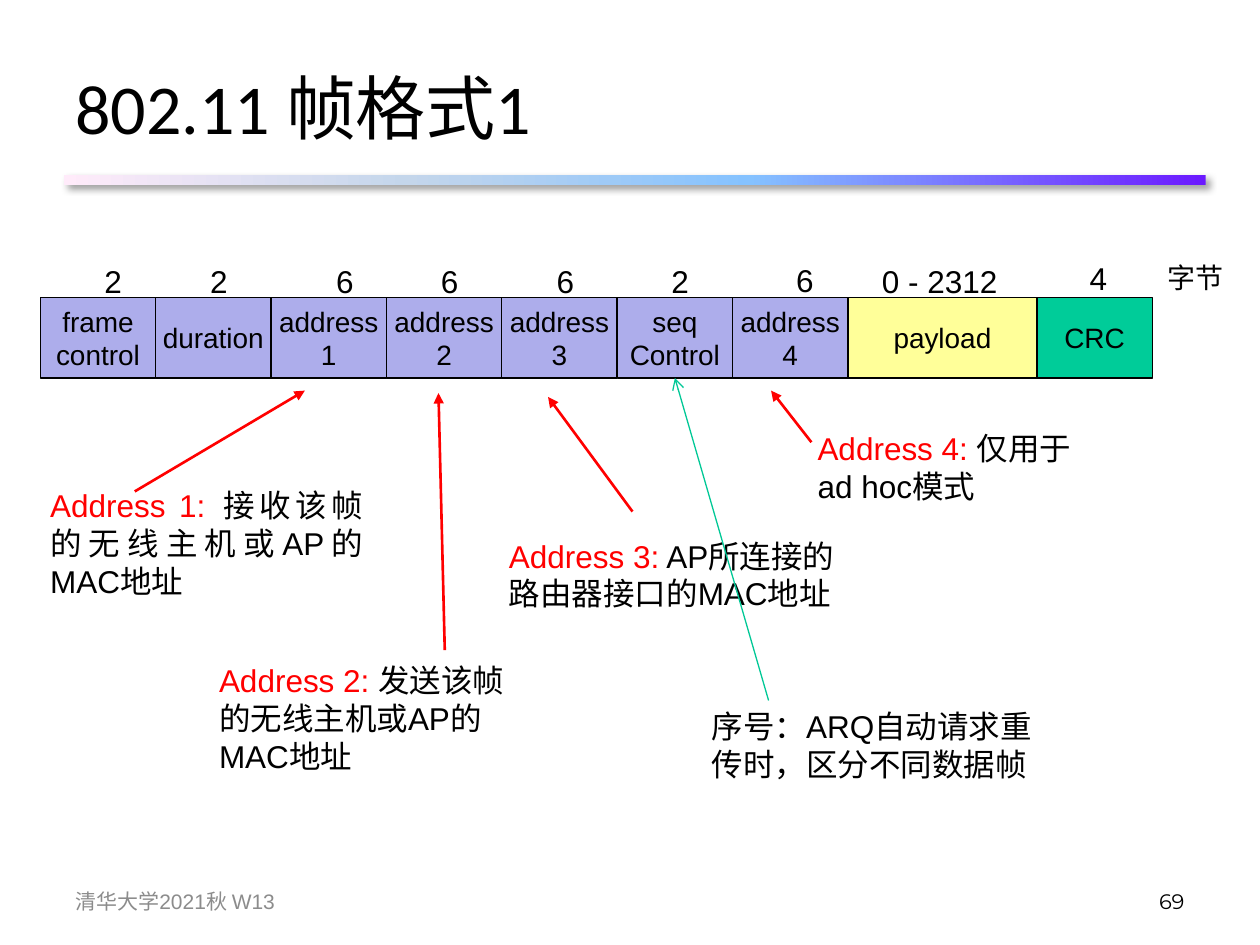
from dataclasses import dataclass

from lxml.etree import SubElement
from pptx import Presentation
from pptx.dml.color import RGBColor
from pptx.enum.shapes import MSO_CONNECTOR, MSO_SHAPE
from pptx.enum.text import MSO_ANCHOR, MSO_AUTO_SIZE, PP_ALIGN
from pptx.oxml import parse_xml
from pptx.oxml.ns import nsdecls, qn
from pptx.util import Inches, Pt


@dataclass(frozen=True)
class Theme:
    ink: str = "000000"
    header: str = "ADADEB"
    payload: str = "FFFF99"
    crc: str = "00CC99"
    accent: str = "FF0000"
    sequence: str = "00C896"
    footer: str = "8C8C8C"
    rule: tuple = ((0, "6B19FF"), (40, "85C2FF"), (70, "C4D6EB"), (100, "FFEBFA"))
    body_font: str = "Arial"
    title_font: str = "Calibri"
    number_font: str = "Montserrat"
    title_size: int = 40
    note_size: int = 18
    field_size: int = 16
    footer_size: int = 12


THEME = Theme()

# Frame layout: seven equal header fields, the payload, then the CRC
FRAME_LEFT, FRAME_TOP, FRAME_HEIGHT = 0.32, 2.36, 0.64
PAYLOAD_LEFT, PAYLOAD_WIDTH = 6.73, 1.5
FIELD_WIDTH = (PAYLOAD_LEFT - FRAME_LEFT) / 7
HEADER_FIELDS = ["frame\ncontrol", "duration", "address\n1", "address\n2",
                 "address\n3", "seq\nControl", "address\n4"]

# Byte counts: text, left, top, width
BYTE_COUNTS = [
    ("2", 0.73, 2.03, 0.34), ("2", 1.57, 2.03, 0.34), ("6", 2.57, 2.03, 0.34),
    ("6", 3.4, 2.03, 0.34), ("6", 4.32, 2.03, 0.34), ("2", 5.23, 2.03, 0.34),
    ("6", 6.22, 2.02, 0.34), ("0 - 2312", 6.9, 2.03, 1.12), ("4", 8.55, 2.01, 0.34),
]

# Notes: red lead, explanation, box, alignment
NOTES = [
    ("Address 1: ", "接收该帧的无线主机或AP的MAC地址", (0.3, 3.81, 2.68, 1.01), PP_ALIGN.JUSTIFY),
    ("Address 2: ", "发送该帧的无线主机或AP的MAC地址", (1.64, 5.2, 2.64, 1.01), PP_ALIGN.LEFT),
    ("Address 3:", " AP所连接的路由器接口的MAC地址", (3.94, 4.21, 2.96, 0.71), PP_ALIGN.LEFT),
    ("Address 4: ", "仅用于 ad hoc模式", (6.39, 3.36, 2.33, 0.7), PP_ALIGN.LEFT),
    ("", "序号：ARQ自动请求重传时，区分不同数据帧", (5.55, 5.56, 2.83, 0.71), PP_ALIGN.LEFT),
]
ADDRESS_ARROWS = [
    ((1.07, 3.9), (2.42, 3.1)),
    ((3.53, 5.16), (3.48, 3.12)),
    ((5.02, 4.06), (4.35, 3.15)),
    ((6.44, 3.51), (6.12, 3.1)),
]


def apply_format(target, values):
    for attribute, value in values.items():
        setattr(target, attribute, value)


def add_run(paragraph, text, size, color=THEME.ink, font=THEME.body_font):
    run = paragraph.add_run()
    run.text = text
    apply_format(run.font, {"size": Pt(size), "name": font})
    run.font.color.rgb = RGBColor.from_string(color)


def add_text(slide, box, runs, size, font=THEME.body_font, align=PP_ALIGN.LEFT, **frame_format):
    """Add a one-paragraph text box; runs are (text, colour) pairs."""
    frame = slide.shapes.add_textbox(*map(Inches, box)).text_frame
    apply_format(frame, {"word_wrap": True, **frame_format})
    paragraph = frame.paragraphs[0]
    paragraph.alignment = align
    for text, color in runs:
        add_run(paragraph, text, size, color, font)


def add_field(slide, label, left, width, color):
    field = slide.shapes.add_shape(
        MSO_SHAPE.RECTANGLE, *map(Inches, (left, FRAME_TOP, width, FRAME_HEIGHT)))
    field.shadow.inherit = False
    field.fill.solid()
    field.fill.fore_color.rgb = RGBColor.from_string(color)
    field.line.color.rgb = RGBColor.from_string(THEME.ink)
    field.line.width = Pt(0.75)
    frame = field.text_frame
    apply_format(frame, {"word_wrap": False, "vertical_anchor": MSO_ANCHOR.MIDDLE})
    for index, text in enumerate(label.split("\n")):
        paragraph = frame.add_paragraph() if index else frame.paragraphs[0]
        paragraph.alignment = PP_ALIGN.CENTER
        add_run(paragraph, text, THEME.field_size)
    return field


def add_arrow(slide, start, end, color, width, head):
    arrow = slide.shapes.add_connector(
        MSO_CONNECTOR.STRAIGHT, *map(Inches, (*start, *end)))
    arrow.line.color.rgb = RGBColor.from_string(color)
    arrow.line.width = Pt(width)
    SubElement(arrow.line._get_or_add_ln(), qn("a:tailEnd"), type=head)
    SubElement(arrow._element.spPr, qn("a:effectLst"))
    return arrow


def add_title_rule(slide):
    rule = slide.shapes.add_shape(
        MSO_SHAPE.RECTANGLE, *map(Inches, (0.51, 1.39, 9.06, 0.08)))
    rule.line.fill.background()
    properties = rule._element.spPr
    stops = "".join(f'<a:gs pos="{position * 1000}"><a:srgbClr val="{color}"/></a:gs>'
                    for position, color in THEME.rule)
    gradient = parse_xml(f'<a:gradFill {nsdecls("a")}><a:gsLst>{stops}</a:gsLst>'
                         '<a:lin ang="10800000" scaled="0"/></a:gradFill>')
    properties.find(qn("a:prstGeom")).addnext(gradient)
    properties.append(parse_xml(
        f'<a:effectLst {nsdecls("a")}><a:outerShdw blurRad="{Pt(4)}" dist="{Pt(3)}" '
        'dir="2700000" algn="tl" rotWithShape="0"><a:srgbClr val="000000">'
        '<a:alpha val="40000"/></a:srgbClr></a:outerShdw></a:effectLst>'))


def add_frame(slide):
    """Draw the 802.11 frame and return its header fields."""
    fields = [add_field(slide, label, FRAME_LEFT + i * FIELD_WIDTH, FIELD_WIDTH, THEME.header)
              for i, label in enumerate(HEADER_FIELDS)]
    add_field(slide, "payload", PAYLOAD_LEFT, PAYLOAD_WIDTH, THEME.payload)
    add_field(slide, "CRC", PAYLOAD_LEFT + PAYLOAD_WIDTH, FIELD_WIDTH, THEME.crc)
    for count, left, top, width in BYTE_COUNTS:
        add_text(slide, (left, top, width, 0.4), [(count, THEME.ink)], THEME.note_size,
                 word_wrap=False, auto_size=MSO_AUTO_SIZE.SHAPE_TO_FIT_TEXT)
    add_text(slide, (9.17, 2.02, 0.83, 0.37), [("字节", THEME.ink)], THEME.field_size)
    return fields


def main():
    deck = Presentation()
    deck.slide_width, deck.slide_height = Inches(10), Inches(7.5)
    slide = deck.slides.add_slide(deck.slide_layouts[6])

    # Title and footer
    add_title_rule(slide)
    middle = {"vertical_anchor": MSO_ANCHOR.MIDDLE}
    add_text(slide, (0.5, 0.3, 9, 1.09), [("802.11 帧格式1", THEME.ink)],
             THEME.title_size, THEME.title_font, **middle)
    add_text(slide, (0.5, 6.95, 2.33, 0.4), [("清华大学2021秋 W13", THEME.footer)],
             THEME.footer_size, **middle)
    add_text(slide, (7.17, 6.95, 2.33, 0.4), [("69", THEME.ink)],
             THEME.footer_size, THEME.number_font, PP_ALIGN.RIGHT, **middle)

    # Frame fields with their byte counts
    fields = add_frame(slide)

    # Notes and the arrows to their fields
    for lead, explanation, box, align in NOTES:
        runs = [(lead, THEME.accent)] if lead else []
        add_text(slide, box, runs + [(explanation, THEME.ink)], THEME.note_size,
                 align=align, auto_size=MSO_AUTO_SIZE.SHAPE_TO_FIT_TEXT)
    for start, end in ADDRESS_ARROWS:
        add_arrow(slide, start, end, THEME.accent, 1.5, "triangle")
    sequence_arrow = add_arrow(slide, (6.1, 5.56), (5.35, 3), THEME.sequence, 0.75, "arrow")
    sequence_arrow.end_connect(fields[HEADER_FIELDS.index("seq\nControl")], 2)

    deck.save("out.pptx")


if __name__ == "__main__":
    main()
